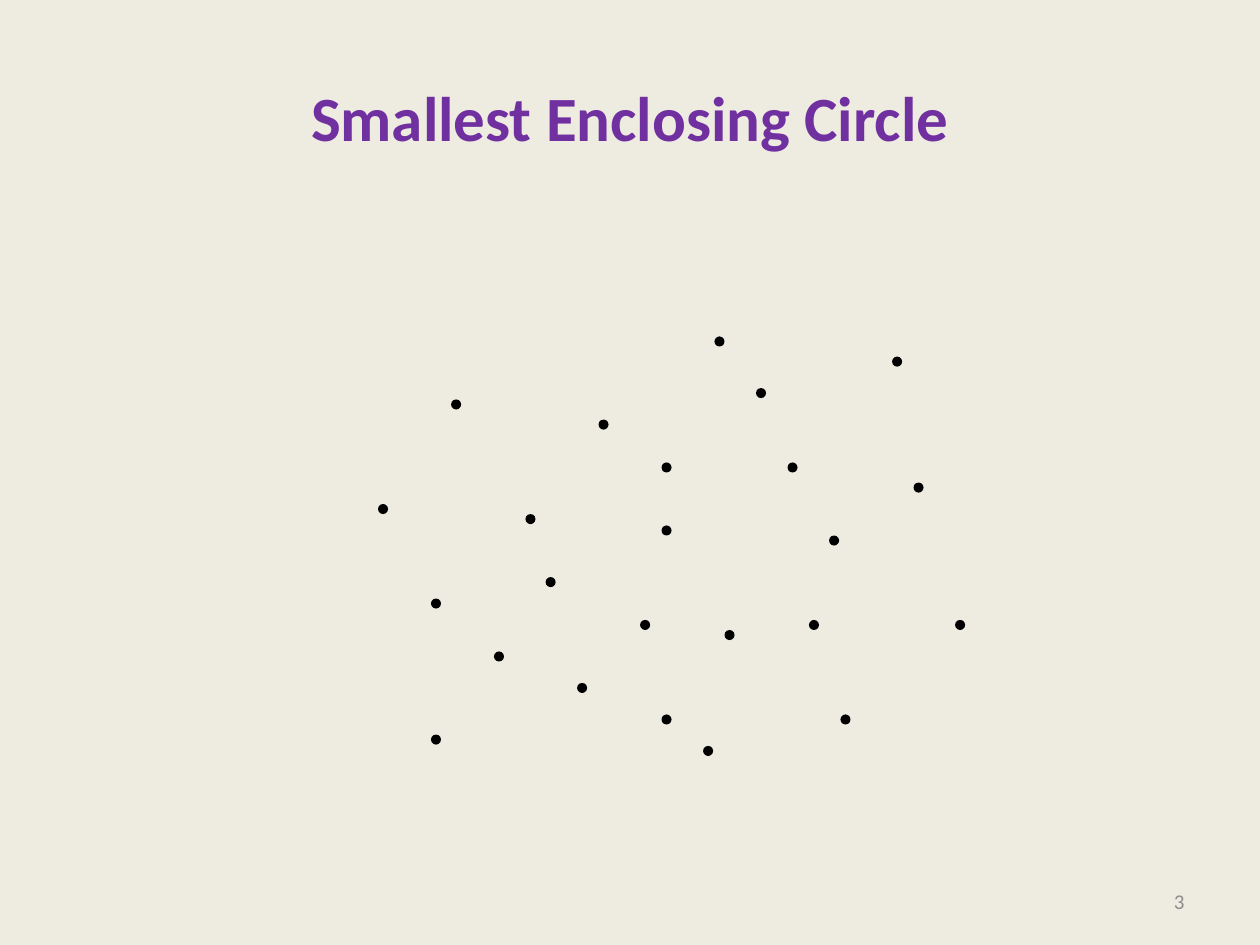
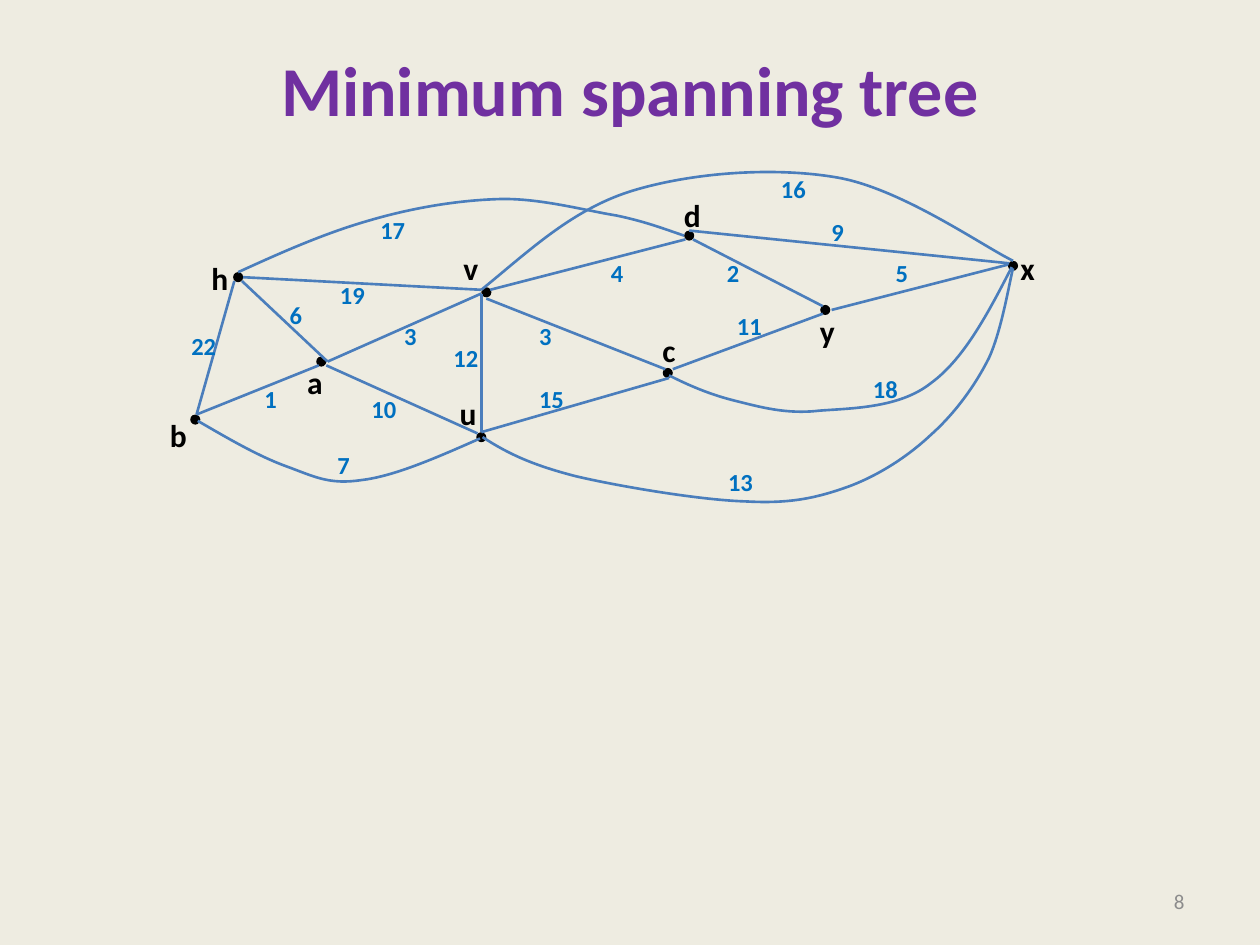
from lxml import etree
from pptx import Presentation
from pptx.dml.color import RGBColor
from pptx.enum.shapes import MSO_CONNECTOR, MSO_SHAPE
from pptx.enum.text import MSO_ANCHOR, PP_ALIGN
from pptx.oxml.ns import qn
from pptx.util import Inches, Pt

COLORS = {
    "background": "EEECE1",
    "title": "7030A0",
    "number": "8C8C8C",
    "point": "000000",
    "edge": "4B7EBC",
    "weight": "0070C0",
}
FONT = "Calibri"
DOT_SIZE = 0.08

POINTS = [
    (3.58, 3.17), (4.75, 3.33), (7.25, 3.83), (4.58, 5.42), (6.58, 4.25), (6.67, 5.67),
    (5.67, 2.67), (5.25, 3.67), (5.75, 5), (7.08, 2.83), (3.42, 5.83), (3, 4),
    (5.58, 5.92), (7.58, 4.92), (4.17, 4.08), (4.33, 4.58), (3.42, 4.75), (6.42, 4.92),
    (5.25, 4.17), (6.25, 3.67), (6, 3.08), (3.92, 5.17), (5.08, 4.92), (5.25, 5.67),
]

# name: (dot position, label position)
VERTICES = {
    "h": ((1.85, 2.16), (1.58, 2.01)),
    "b": ((1.51, 3.29), (1.25, 3.25)),
    "c": ((5.26, 2.92), (5.16, 2.58)),
    "d": ((5.43, 1.83), (5.33, 1.51)),
    "u": ((3.78, 3.43), (3.55, 3.08)),
    "y": ((6.51, 2.42), (6.41, 2.43)),
    "v": ((3.82, 2.28), (3.58, 1.93)),
    "a": ((2.51, 2.83), (2.34, 2.83)),
    "x": ((8, 2.07), (8, 1.93)),
}

STRAIGHT_EDGES = [
    ("6", (2.2, 2.33), (1.92, 2.23), (2.6, 2.87)),
    ("1", (2, 3), (1.56, 3.29), (2.53, 2.9)),
    ("3", (3.11, 2.5), (2.6, 2.87), (3.82, 2.33)),
    ("10", (2.85, 3.08), (2.59, 2.9), (3.79, 3.44)),
    ("12", (3.5, 2.67), (3.82, 2.33), (3.82, 3.43)),
    ("4", (4.75, 2), (5.44, 1.9), (3.89, 2.3)),
    ("3", (4.18, 2.5), (5.28, 2.93), (3.86, 2.37)),
    ("15", (4.18, 3), (3.82, 3.43), (5.31, 3)),
    ("2", (5.67, 2), (6.53, 2.43), (5.5, 1.9)),
    ("11", (5.75, 2.42), (5.34, 2.93), (6.53, 2.49)),
    ("5", (7.01, 2), (8, 2.1), (6.6, 2.46)),
    ("22", (1.42, 2.58), (1.86, 2.23), (1.56, 3.29)),
    ("9", (6.5, 1.67), (8.01, 2.09), (5.47, 1.83)),
    ("19", (2.6, 2.17), (1.93, 2.2), (3.82, 2.3)),
]

CURVED_EDGES = [
    ("18", (6.83, 2.92), [
        (5.31, 2.98), (5.47, 3.06), (5.63, 3.13), (5.83, 3.18), (6.03, 3.23),
        (6.24, 3.29), (6.5, 3.26), (6.76, 3.24), (7.14, 3.24), (7.39, 3.04),
        (7.65, 2.85), (7.84, 2.49), (8.03, 2.12)]),
    ("13", (5.68, 3.66), [
        (3.83, 3.47), (4.03, 3.6), (4.22, 3.69), (4.57, 3.78), (4.91, 3.86),
        (5.56, 3.97), (5.92, 3.98), (6.28, 4), (6.49, 3.95), (6.74, 3.86),
        (6.98, 3.77), (7.21, 3.62), (7.39, 3.45), (7.58, 3.28), (7.74, 3.06),
        (7.85, 2.84), (7.95, 2.62), (8.01, 2.25), (8.04, 2.13)]),
    ("7", (2.58, 3.52), [
        (1.57, 3.34), (1.81, 3.48), (2.05, 3.62), (2.27, 3.7), (2.49, 3.78),
        (2.61, 3.85), (2.87, 3.81), (3.13, 3.78), (3.47, 3.63), (3.81, 3.48)]),
    ("17", (2.92, 1.66), [
        (1.89, 2.16), (2.24, 2), (2.58, 1.85), (2.93, 1.75), (3.27, 1.65),
        (3.63, 1.59), (3.96, 1.58), (4.28, 1.57), (4.64, 1.67), (4.89, 1.71),
        (5.13, 1.76), (5.28, 1.82), (5.43, 1.87)]),
    ("16", (6.1, 1.33), [
        (3.82, 2.3), (4.19, 2), (4.53, 1.67), (5, 1.52), (5.48, 1.37),
        (6.14, 1.32), (6.65, 1.41), (7.16, 1.5), (7.81, 1.96), (8.04, 2.07)]),
]


def color(name):
    return RGBColor.from_string(COLORS[name])


def style_paragraph(paragraph, size, color_name, bold=False):
    paragraph.font.name = FONT
    paragraph.font.size = Pt(size)
    paragraph.font.bold = bold
    paragraph.font.color.rgb = color(color_name)


def add_text(page, text, left, top, width, height, size, color_name, bold=True):
    box = page.shapes.add_textbox(Inches(left), Inches(top), Inches(width), Inches(height))
    box.text_frame.text = text
    paragraph = box.text_frame.paragraphs[0]
    style_paragraph(paragraph, size, color_name, bold)
    return box.text_frame


def add_page(deck, title_text, title_size, number, bottom_margin=0.05):
    page = deck.slides.add_slide(deck.slide_layouts.get_by_name("Title Only"))
    title = page.shapes.title
    title.left, title.top = Inches(0.5), Inches(0.3)
    title.width, title.height = Inches(9), Inches(1.25)
    frame = title.text_frame
    frame.text = title_text
    frame.vertical_anchor = MSO_ANCHOR.MIDDLE
    frame.margin_bottom = Inches(bottom_margin)
    frame.paragraphs[0].alignment = PP_ALIGN.CENTER
    style_paragraph(frame.paragraphs[0], title_size, "title", True)

    footer = add_text(page, number, 7.17, 6.95, 2.33, 0.4, 12, "number", False)
    footer.word_wrap = True
    footer.vertical_anchor = MSO_ANCHOR.MIDDLE
    footer.paragraphs[0].alignment = PP_ALIGN.RIGHT
    return page


def add_dot(page, left, top):
    dot = page.shapes.add_shape(
        MSO_SHAPE.OVAL, Inches(left), Inches(top), Inches(DOT_SIZE), Inches(DOT_SIZE))
    dot.shadow.inherit = False
    dot.fill.solid()
    dot.fill.fore_color.rgb = color("point")
    dot.line.fill.background()


def style_edge(shape):
    shape.line.color.rgb = color("edge")
    shape.line.width = Pt(1.5)


def add_straight_edge(page, start, end):
    edge = page.shapes.add_connector(
        MSO_CONNECTOR.STRAIGHT, *[Inches(value) for value in start + end])
    style_edge(edge)
    etree.SubElement(edge._element.spPr, qn("a:effectLst"))


def add_curved_edge(page, points):
    start, *rest = [(Inches(x), Inches(y)) for x, y in points]
    builder = page.shapes.build_freeform(*start)
    builder.add_line_segments(rest, close=False)
    edge = builder.convert_to_shape()
    edge.shadow.inherit = False
    edge.fill.background()
    style_edge(edge)
    segments = edge._element.xpath(".//a:lnTo")
    outline = segments[0].getparent()
    for first in range(0, len(segments), 3):
        curve = etree.SubElement(outline, qn("a:cubicBezTo"))
        for segment in segments[first:first + 3]:
            curve.append(segment[0])
            outline.remove(segment)


def add_weight(page, weight, position):
    width = 0.2 + 0.1 * len(weight)
    add_text(page, weight, *position, width, 0.34, 14, "weight").word_wrap = False


def build_circle_page(deck):
    page = add_page(deck, "Smallest Enclosing Circle", 36, "3")
    for point in POINTS:
        add_dot(page, *point)


def build_tree_page(deck):
    page = add_page(deck, "Minimum spanning tree", 40, "8", bottom_margin=0.5)
    for dot_position, _ in VERTICES.values():
        add_dot(page, *dot_position)
    for _, _, start, end in STRAIGHT_EDGES:
        add_straight_edge(page, start, end)
    for _, _, points in CURVED_EDGES:
        add_curved_edge(page, points)
    for name, (_, label_position) in VERTICES.items():
        add_text(page, name, *label_position, 0.33, 0.4, 18, "point").word_wrap = False
    for weight, position, *_ in STRAIGHT_EDGES + CURVED_EDGES:
        add_weight(page, weight, position)


def main():
    deck = Presentation()
    deck.slide_width, deck.slide_height = Inches(10), Inches(7.5)
    background = deck.slide_master.background.fill
    background.solid()
    background.fore_color.rgb = color("background")
    build_circle_page(deck)
    build_tree_page(deck)
    deck.save("out.pptx")


main()
